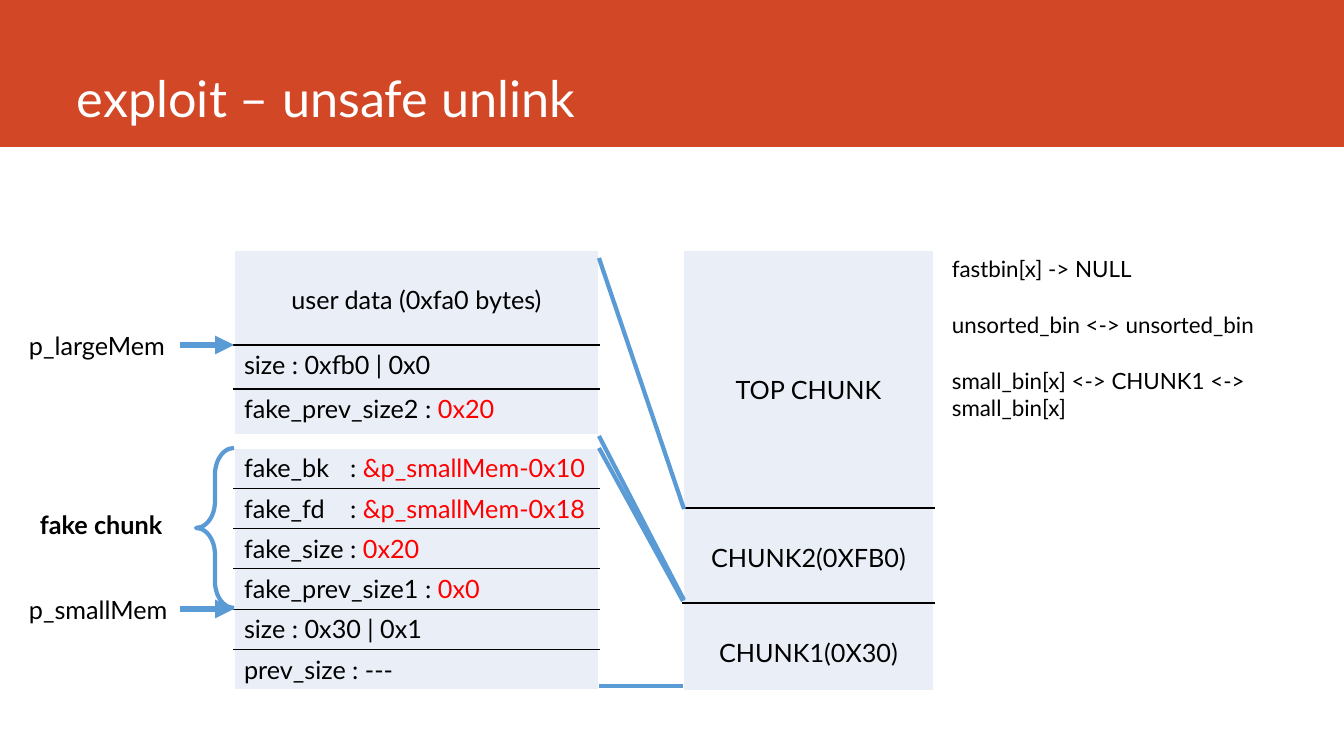
import pptx
import pptx.util
import pptx.dml.color
import pptx.enum.shapes
import pptx.enum.text
import pptx.oxml
import pptx.oxml.ns

NS = pptx.oxml.ns.nsdecls("a")
ALIGN = pptx.enum.text.PP_ALIGN
ANCHOR = pptx.enum.text.MSO_ANCHOR
SHAPE = pptx.enum.shapes.MSO_SHAPE
SCALE = 12192000 / 1344


def px(n):
    return pptx.util.Emu(round(n * SCALE))


def color(value):
    return pptx.dml.color.RGBColor.from_string(value)


def write(tf, text, accent="", size=18, fill="000000", bold=False,
          align=ALIGN.LEFT, tab=None):
    p = tf.paragraphs[0]
    p.alignment = align
    if tab:
        p._p.get_or_add_pPr().append(pptx.oxml.parse_xml(
            f'<a:tabLst {NS}><a:tab pos="{px(tab)}" algn="l"/></a:tabLst>'))
    for part, part_fill in ((text, fill), (accent, "FF0000")):
        if part:
            r = p.add_run()
            r.text = part
            r.font.name = "Lato"
            r.font.size = pptx.util.Pt(size)
            r.font.bold = bold
            r.font.color.rgb = color(part_fill)


class Deck:
    banner = "D24726"
    blue = "5B9BD5"
    cell_fill = "EAEFF7"
    line_height = 30
    inset = 5

    def __init__(self):
        self.prs = pptx.Presentation()
        self.prs.slide_width = px(1344)
        self.prs.slide_height = px(756)
        self.s = self.prs.slides.add_slide(self.prs.slide_layouts[6])

    def rect(self, x, y, w, h, fill):
        sp = self.s.shapes.add_shape(SHAPE.RECTANGLE, px(x), px(y), px(w), px(h))
        sp.shadow.inherit = False
        sp.fill.solid()
        sp.fill.fore_color.rgb = color(fill)
        sp.line.fill.background()

    def brace(self, x, y, w, h):
        sp = self.s.shapes.add_shape(SHAPE.LEFT_BRACE, px(x), px(y), px(w), px(h))
        sp.shadow.inherit = False
        sp.adjustments[0] = 0.7
        sp.fill.background()
        sp.line.color.rgb = color(self.blue)
        sp.line.width = pptx.util.Pt(3)

    def text(self, x, y, w, h, text, anchor=ANCHOR.TOP, **style):
        sp = self.s.shapes.add_textbox(px(x), px(y), px(w), px(h))
        tf = sp.text_frame
        tf.word_wrap = True
        tf.vertical_anchor = anchor
        write(tf, text, **style)
        return sp

    def line(self, x1, y1, x2, y2, width=3):
        cn = self.s.shapes.add_connector(
            pptx.enum.shapes.MSO_CONNECTOR.STRAIGHT, px(x1), px(y1), px(x2), px(y2))
        cn.line.color.rgb = color(self.blue)
        cn.line.width = pptx.util.Pt(width)
        cn._element.spPr.append(pptx.oxml.parse_xml(f"<a:effectLst {NS}/>"))
        return cn

    def pointer(self, x, y, text):
        sp = self.text(x, y, 161, 40, text)
        cn = self.line(x + 161, y + 20, 234, y + 20, width=4.5)
        cn.begin_connect(sp, 3)
        cn.line._get_or_add_ln().append(
            pptx.oxml.parse_xml(f'<a:tailEnd {NS} type="triangle"/>'))

    def borders(self, cell, top, bottom):
        tcPr = cell._tc.get_or_add_tcPr()
        sides = (("L", "FFFFFF"), ("R", "FFFFFF"), ("T", top), ("B", bottom))
        for i, (side, value) in enumerate(sides):
            tcPr.insert(i, pptx.oxml.parse_xml(
                f'<a:ln{side} {NS} w="12700"><a:solidFill>'
                f'<a:srgbClr val="{value}"/></a:solidFill></a:ln{side}>'))

    def table(self, x, y, w, rows):
        heights = [row[0] for row in rows]
        frame = self.s.shapes.add_table(
            len(rows), 1, px(x), px(y), px(w), px(sum(heights)))
        tbl = frame.table
        tbl.first_row = tbl.horz_banding = False
        tbl.columns[0].width = px(w)
        last = len(rows) - 1
        for i, (height, text, accent, drop, style) in enumerate(rows):
            tbl.rows[i].height = px(height)
            cell = tbl.cell(i, 0)
            cell.fill.solid()
            cell.fill.fore_color.rgb = color(self.cell_fill)
            cell.margin_top = px(self.inset + drop * self.line_height)
            self.borders(cell, "FFFFFF" if i == 0 else "000000",
                         "FFFFFF" if i == last else "000000")
            write(cell.text_frame, text, accent, **style)


def main():
    d = Deck()
    d.rect(0, 0, 1344, 147, d.banner)
    d.text(67, 0, 1185, 133, "exploit – unsafe unlink", anchor=ANCHOR.BOTTOM,
           size=36, fill="FFFFFF")

    notes = ("fastbin[x] -> NULL", "unsorted_bin <-> unsorted_bin",
             "small_bin[x] <-> CHUNK1 <-> small_bin[x]")
    for i, note in enumerate(notes):
        d.text(942, 250 + 56 * i, 392 - 10 * i, 64 if i == 2 else 37, note, size=16)

    center = {"align": ALIGN.CENTER}
    tabbed = {"tab": 106}
    d.table(683, 250, 251, [
        (258, "TOP CHUNK", "", 4, center),
        (95, "CHUNK2(0XFB0)", "", 1, center),
        (88, "CHUNK1(0X30)", "", 1, center),
    ])
    d.table(234, 448, 365, [
        (40, "fake_bk\t: ", "&p_smallMem-0x10", 0, tabbed),
        (40, "fake_fd\t: ", "&p_smallMem-0x18", 0, tabbed),
        (40, "fake_size : ", "0x20", 0, {}),
        (40, "fake_prev_size1 : ", "0x0", 0, {}),
        (40, "size : 0x30 | 0x1", "", 0, {}),
        (40, "prev_size : ---", "", 0, {}),
    ])
    d.table(234, 250, 365, [
        (95, "user data (0xfa0 bytes)", "", 1, center),
        (44, "size : 0xfb0 | 0x0", "", 0, {}),
        (46, "fake_prev_size2 : ", "0x20", 0, {}),
    ])

    for ends in ((599, 448, 683, 601), (599, 686, 683, 686),
                 (599, 436, 684, 600), (599, 258, 684, 509)):
        d.line(*ends)

    d.pointer(19, 589, "p_smallMem")
    d.pointer(19, 325, "p_largeMem")
    d.brace(196, 448, 38, 160)
    d.text(30, 504, 161, 40, "fake chunk", bold=True)
    d.prs.save("out.pptx")


if __name__ == "__main__":
    main()
